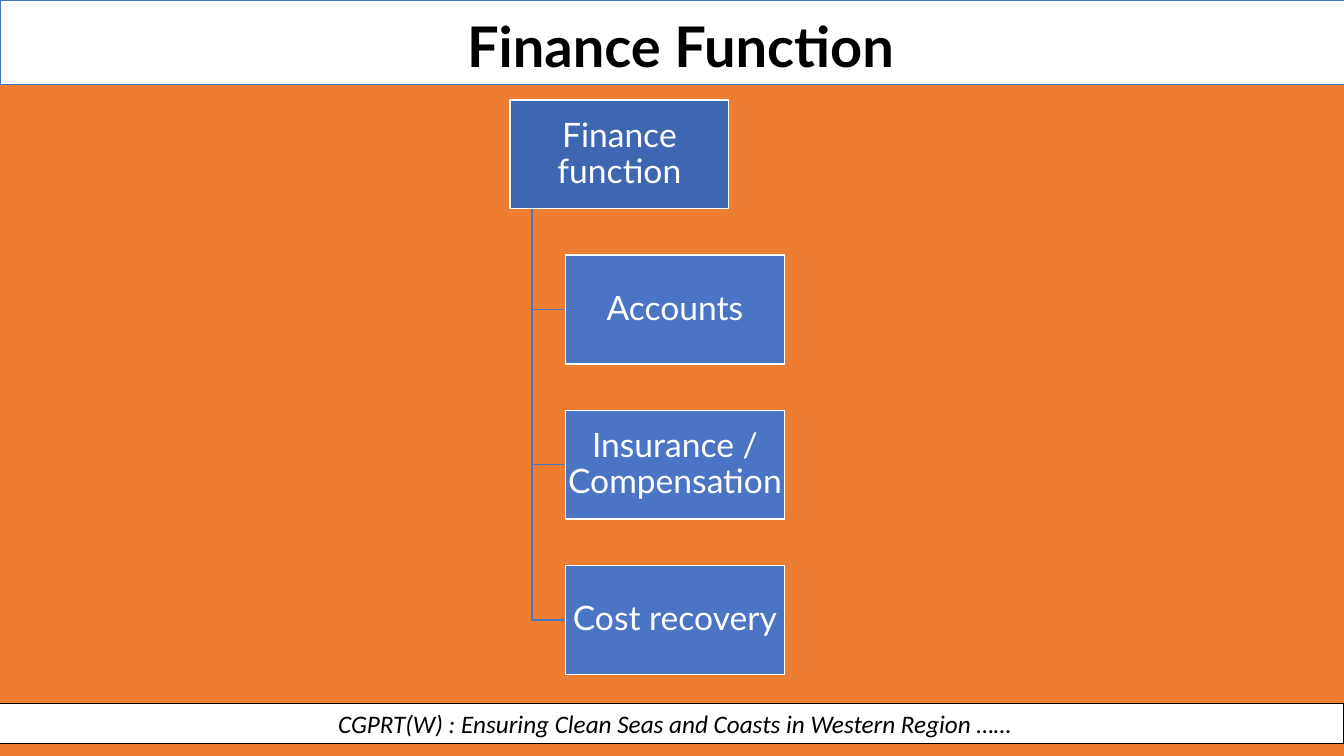
from dataclasses import dataclass

from pptx import Presentation
from pptx.dml.color import RGBColor
from pptx.enum.shapes import MSO_SHAPE
from pptx.enum.text import MSO_ANCHOR, PP_ALIGN
from pptx.shapes.autoshape import Shape
from pptx.slide import Slide
from pptx.util import Inches, Pt

WIDE, TALL = Inches(13.33), Inches(7.5)
BLUE, DARK, WHITE, BLACK = "4A75C5", "3E67B2", "FFFFFF", "000000"

# Chart grid, in percent of the slide's width or height
LEFT, TOP = 37.95, 13.2
BOX_W, BOX_H = 16.28, 14.4
STEP = 20.53
INDENT = 4.13
SPINE = LEFT + BOX_W / 10


@dataclass
class Node:
    name: str
    row: int
    level: int
    fill: str

    @property
    def left(self) -> float:
        return LEFT + self.level * INDENT

    @property
    def top(self) -> float:
        return TOP + self.row * STEP

    @property
    def mid(self) -> float:
        return self.top + BOX_H / 2


ROOT = Node("Finance function", 0, 0, DARK)
LEAVES = [
    Node(name, row, 1, BLUE)
    for row, name in enumerate(
        ["Accounts", "Insurance / Compensation", "Cost recovery"], 1
    )
]


def tint(code: str) -> RGBColor:
    return RGBColor.from_string(code)


def across(share: float) -> int:
    return round(WIDE * share / 100)


def down(share: float) -> int:
    return round(TALL * share / 100)


def add_box(slide: Slide, x: float, y: float, w: float, h: float,
            fill: str, line: str, weight: float) -> Shape:
    box = slide.shapes.add_shape(
        MSO_SHAPE.RECTANGLE, across(x), down(y), across(w), down(h)
    )
    box.shadow.inherit = False
    box.fill.solid()
    box.fill.fore_color.rgb = tint(fill)
    box.line.color.rgb = tint(line)
    box.line.width = Pt(weight)
    return box


def write(shape: Shape, text: str, face: str, size: float, color: str,
          space: float = 1.0, bold: bool = False, slant: bool = False,
          anchor: MSO_ANCHOR = MSO_ANCHOR.MIDDLE) -> None:
    frame = shape.text_frame
    frame.text = text
    frame.word_wrap = True
    frame.vertical_anchor = anchor
    para = frame.paragraphs[0]
    para.alignment = PP_ALIGN.CENTER
    para.line_spacing = space
    para.space_before = Pt(0)
    font = para.runs[0].font
    font.name, font.size = face, Pt(size)
    font.bold, font.italic = bold, slant
    font.color.rgb = tint(color)


def add_elbow(slide: Slide, node: Node) -> None:
    """Run from the root's lower edge down the spine and into the node."""
    pen = slide.shapes.build_freeform(across(SPINE), down(TOP + BOX_H))
    pen.add_line_segments(
        [(across(SPINE), down(node.mid)), (across(node.left), down(node.mid))],
        close=False,
    )
    elbow = pen.convert_to_shape()
    elbow.shadow.inherit = False
    elbow.fill.background()
    elbow.line.color.rgb = tint(BLUE)
    elbow.line.width = Pt(1)


def add_node(slide: Slide, node: Node) -> None:
    box = add_box(slide, node.left, node.top, BOX_W, BOX_H, node.fill, WHITE, 1)
    write(box, node.name, "Lato", 24, WHITE, space=0.9)
    frame = box.text_frame
    frame.margin_left = frame.margin_right = Inches(0.02)
    frame.margin_top = frame.margin_bottom = Inches(0.02)


def add_title(slide: Slide) -> None:
    title = slide.shapes.title
    title.left, title.top = across(8.55), down(1.87)
    title.width, title.height = across(84.17), down(8.13)
    write(title, "Finance Function", "Lato", 40, BLACK, space=0.9, bold=True,
          anchor=MSO_ANCHOR.TOP)
    band = add_box(slide, 0, 0, 100, 11.2, WHITE, "4472C4", 0.5)
    title.element.addprevious(band.element)


def add_footer(slide: Slide) -> None:
    band = add_box(slide, 0, 93.07, 100, 5.33, WHITE, BLACK, 0.75)
    write(band, "CGPRT(W) : Ensuring Clean Seas and Coasts in Western Region ……",
          "Calibri", 18, BLACK, slant=True)
    band.text_frame.margin_left = Inches(0.16)


def main() -> None:
    deck = Presentation()
    deck.slide_width, deck.slide_height = WIDE, TALL
    slide = deck.slides.add_slide(deck.slide_layouts[5])
    slide.background.fill.solid()
    slide.background.fill.fore_color.rgb = tint("ED7D31")
    add_footer(slide)
    add_title(slide)
    for leaf in reversed(LEAVES):
        add_elbow(slide, leaf)
    for node in [ROOT, *LEAVES]:
        add_node(slide, node)
    deck.save("out.pptx")


if __name__ == "__main__":
    main()
